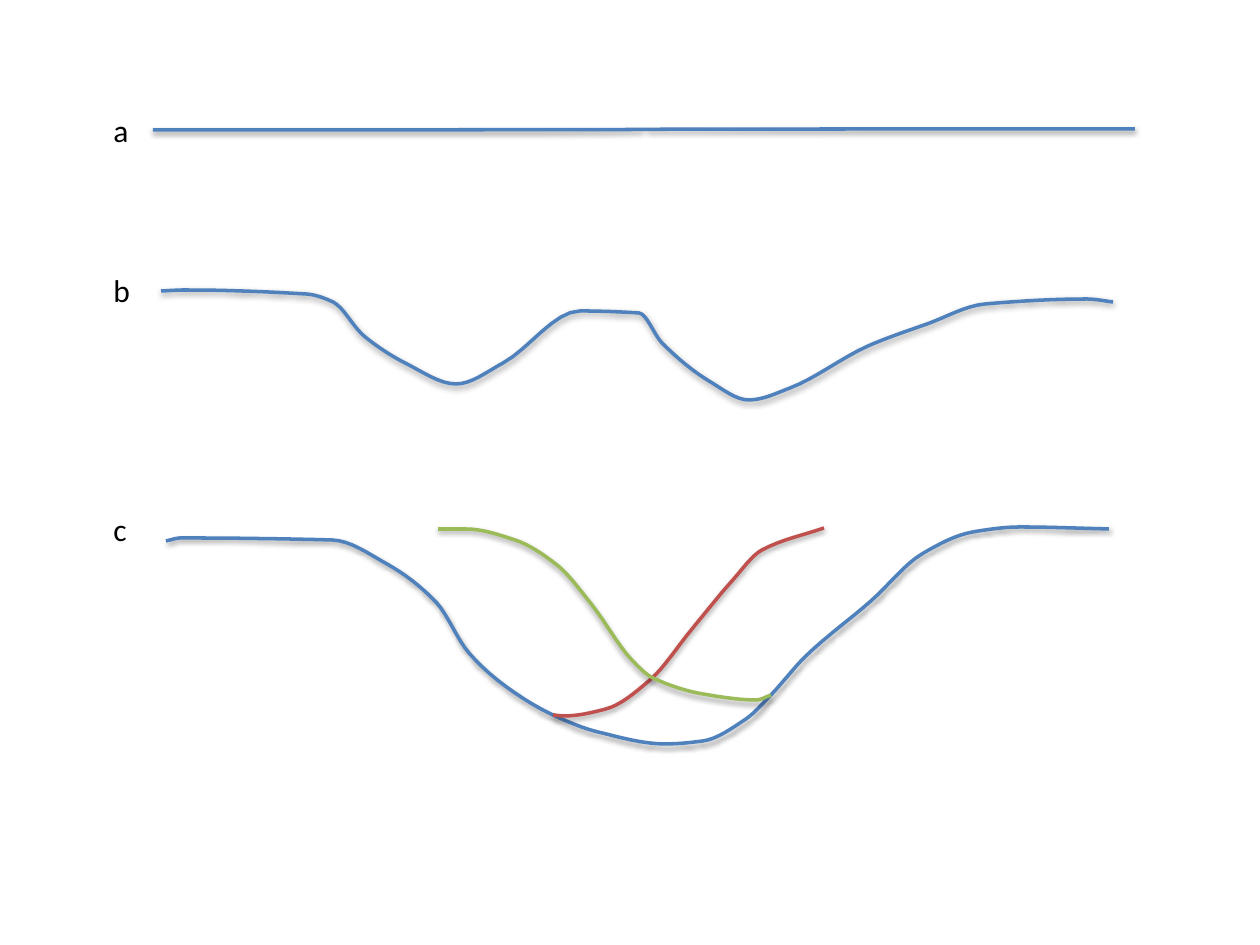
from itertools import pairwise
from lxml.etree import SubElement
from pptx import Presentation
from pptx.dml.color import RGBColor as Rgb
from pptx.enum.shapes import MSO_CONNECTOR as Link
from pptx.enum.text import MSO_AUTO_SIZE as Fit
from pptx.oxml.ns import qn
from pptx.util import Pt

SCALE = 914400 / 126
STEPS = 8
HUES = {"blue": "4F81BD", "red": "C0504D", "green": "9BBB59", "black": "000000"}

# Row labels: text, top, width
LABELS = [("a", 105, 40), ("b", 265, 42), ("c", 504, 39)]

# Row a: the flat ground
GROUND = (153, 130), (1135, 129)

# Row b: two valleys with a ridge between them
SHELF = [(161, 291), (185, 290), (306, 294)]
WEST = [(333, 302), (364, 336), (407, 364), (456, 384), (503, 363)]
RIDGE = [(580, 311), (639, 313)]
EAST = [(662, 343), (709, 381), (749, 400), (790, 388), (868, 346)]
BANK = [(927, 324), (985, 304), (1087, 299), (1113, 302)]

# Row c: one basin; the inner slopes start where they meet its walls
LEFT, RIGHT = (553, 715), (771, 695)
DOWN = [(166, 541), (181, 538), (332, 540), (387, 564), (436, 602),
        (469, 653), (508, 688)]
FLOOR = [(598, 732), (665, 744), (703, 741), (746, 719)]
UP = [(806, 656), (871, 601), (922, 554), (973, 532), (1020, 527),
      (1109, 529)]
RISE = [(564, 716), (606, 709), (650, 680), (692, 629), (732, 581),
        (762, 550), (824, 528)]
FALL = [(438, 529), (466, 529), (515, 540), (557, 565), (592, 605),
        (631, 659), (653, 678), (703, 694), (756, 700)]

CURVES = [
    (SHELF + WEST + RIDGE + EAST + BANK, "blue"),
    (DOWN + [LEFT] + FLOOR + [RIGHT] + UP, "blue"),
    ([LEFT] + RISE, "red"),
    (FALL + [RIGHT], "green"),
]


def emu(px):
    """Turn pixels into EMU."""
    return round(px * SCALE)


def blend(one, two):
    """Slope at a knot: level at a peak or dip, else the harmonic mean."""
    return 2 * one * two / (one + two) if one * two > 0 else 0


def smooth(knots):
    """Fill in a cubic curve that never swings past its knots."""
    grades = [(y2 - y1) / (x2 - x1)
              for (x1, y1), (x2, y2) in pairwise(knots)]
    inner = [blend(one, two) for one, two in pairwise(grades)]
    slopes = [grades[0], *inner, grades[-1]]
    points = [knots[0]]
    for (start, end), (out, into) in zip(pairwise(knots), pairwise(slopes)):
        (x1, y1), (x2, y2) = start, end
        span = x2 - x1
        for step in range(1, STEPS + 1):
            t = step / STEPS
            ease = t * t * (3 - 2 * t)
            bend = t * (1 - t) * ((1 - t) * out - t * into)
            points.append((x1 + t * span, y1 + ease * (y2 - y1) + bend * span))
    return points


class Board:
    """Holds the style and the current slide."""

    font, size, width = "Calibri", 18, 2

    def __init__(self, deck):
        """Add a blank slide to the deck."""
        self.shapes = deck.slides.add_slide(deck.slide_layouts[6]).shapes

    def ink(self, shape, hue):
        """Give a stroke its colour, width and soft shadow."""
        shape.line.color.rgb = Rgb.from_string(HUES[hue])
        shape.line.width = Pt(self.width)
        glow = SubElement(shape._element.spPr, qn("a:effectLst"))
        shade = SubElement(glow, qn("a:outerShdw"), blurRad="40000",
                           dist="20000", dir="5400000", rotWithShape="0")
        tint = SubElement(shade, qn("a:srgbClr"), val=HUES["black"])
        SubElement(tint, qn("a:alpha"), val="38000")

    def link(self, start, end, hue):
        """Draw a curved connector."""
        ends = map(emu, (*start, *end))
        self.ink(self.shapes.add_connector(Link.CURVE, *ends), hue)

    def curve(self, knots, hue):
        """Draw a smooth open outline through the knots."""
        first, *rest = smooth(knots)
        pen = self.shapes.build_freeform(*map(emu, first))
        pen.add_line_segments([(emu(x), emu(y)) for x, y in rest], close=False)
        shape = pen.convert_to_shape()
        shape.fill.background()
        self.ink(shape, hue)

    def label(self, text, top, width):
        """Write a row label at the left edge."""
        box = self.shapes.add_textbox(*map(emu, (101, top, width, 50)))
        frame = box.text_frame
        frame.word_wrap = False
        frame.auto_size = Fit.SHAPE_TO_FIT_TEXT
        run = frame.paragraphs[0].add_run()
        run.text = text
        run.font.name, run.font.size = self.font, Pt(self.size)
        run.font.color.rgb = Rgb.from_string(HUES["black"])


deck = Presentation()
deck.slide_width, deck.slide_height = emu(1260), emu(945)
board = Board(deck)
board.link(*GROUND, "blue")
for knots, hue in CURVES:
    board.curve(knots, hue)
for text, top, width in LABELS:
    board.label(text, top, width)
deck.save("out.pptx")
